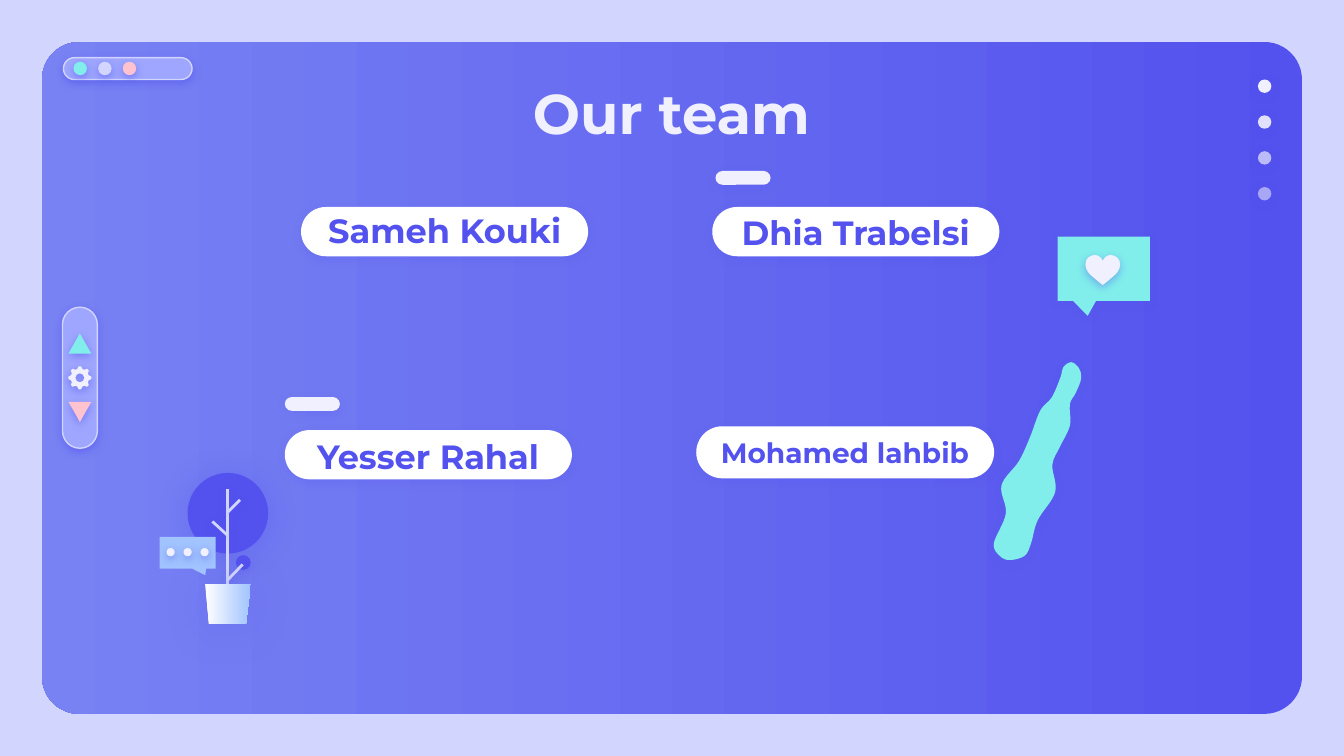
from dataclasses import dataclass
from math import cos, pi, radians, sin
from typing import NamedTuple, Optional

from lxml.etree import SubElement
from pptx import Presentation
from pptx.dml.color import RGBColor
from pptx.enum.shapes import MSO_CONNECTOR, MSO_SHAPE as Preset
from pptx.enum.text import MSO_ANCHOR as Anchor, MSO_AUTO_SIZE, PP_ALIGN
from pptx.oxml.ns import qn
from pptx.util import Pt

COLORS = {
    "backdrop": "D2D6FF", "indigo": "5352EE", "violet": "7882F3",
    "bar": "9EA6FF", "mint": "81EEEB", "pink": "FFC3D0",
    "pale": "F1F0FF", "white": "FFFFFF", "sky": "A1C3FF",
}
FONT = "Montserrat"


class Box(NamedTuple):
    left: float
    top: float
    width: float
    height: float


class Shadow(NamedTuple):
    alpha: int
    blur: float = 4.5


class Contour(NamedTuple):
    points: list
    curved: bool = False


@dataclass
class Member:
    name: str
    pill: Box
    label: Box
    size: int = 18


STRONG, SOFT, FAINT = Shadow(50), Shadow(18), Shadow(15)
PILL = (153.8, 26.4)
LABEL = (150.5, 14.4)
MEMBERS = [
    Member("Sameh Kouki", Box(161.3, 110.9, *PILL), Box(163, 115.9, *LABEL)),
    Member("Dhia Trabelsi", Box(381.6, 110.9, *PILL), Box(383.2, 117, *LABEL)),
    Member("Yesser Rahal", Box(152.6, 230.4, *PILL), Box(154.1, 236.9, *LABEL)),
    Member("Mohamed lahbib", Box(373, 228.4, 159.6, 27.9),
           Box(369.2, 231.8, 167, 21.6), 15),
]
TAGS = [(152.6, 212.7), (383.3, 91.6)]
BRANCHES = [
    (121.7, 262.1, 121.7, 313.2), (113.8, 279.4, 121.7, 286.6),
    (128.6, 267.8, 122.1, 274.3), (130, 302.4, 121.7, 311),
]
POT = [(109.9, 312.8), (134.4, 312.8), (131.8, 334.1), (112, 334.1)]
WAVE = [
    (573.8, 194), (569.6, 196.8), (568.2, 202), (563.6, 212.7), (557.3, 220),
    (551.9, 234), (545.9, 247), (536.6, 260), (538.9, 275), (532.5, 291),
    (535.7, 297.8), (541, 300), (549, 297.7), (552.4, 291), (556, 278.6),
    (565.3, 263.6), (563.8, 249), (567.8, 239.5), (573.2, 228), (573.2, 216.5),
    (576.3, 210.5), (579.3, 202.5), (577.8, 196.8),
]
WAVE_CENTER = (555.7, 247)
WAVE_TILT = 9.4
HEART_X = 590.8
HEART_HALF = [
    (0, 139.7), (1.4, 137.7), (4.3, 136.6), (7.9, 138.1), (9.3, 141.6),
    (7.9, 145.8), (2.9, 150.4), (0, 152.7),
]
GEAR_CENTER = (42.8, 202.4)


def rgb(color: str) -> RGBColor:
    return RGBColor.from_string(COLORS[color])


def cast_shadow(effects, shadow: Shadow) -> None:
    outer = SubElement(effects, qn("a:outerShdw"), blurRad=str(Pt(shadow.blur)),
                       dist=str(Pt(1.5)), dir="5400000", algn="bl", rotWithShape="0")
    tint = SubElement(outer, qn("a:srgbClr"), val=COLORS["indigo"])
    SubElement(tint, qn("a:alpha"), val=str(shadow.alpha * 1000))


def paint(shape, color: str, shadow: Optional[Shadow] = None,
          outline: Optional[str] = None, opacity: int = 100) -> None:
    shape.fill.solid()
    shape.fill.fore_color.rgb = rgb(color)
    if opacity < 100:
        tint = shape.fill._xPr.find(".//" + qn("a:srgbClr"))
        SubElement(tint, qn("a:alpha"), val=str(opacity * 1000))
    if outline:
        shape.line.color.rgb = rgb(outline)
        shape.line.width = Pt(0.75)
    else:
        shape.line.fill.background()
    shape.shadow.inherit = False
    if shadow:
        cast_shadow(shape._element.spPr.find(qn("a:effectLst")), shadow)


def paint_gradient(shape, start: str, end: str, angle: int) -> None:
    shape.fill.gradient()
    shape.fill.gradient_angle = angle
    for stop, color, position in zip(shape.fill.gradient_stops, (start, end), (0, 1)):
        stop.color.rgb = rgb(color)
        stop.position = position


def add_preset(shapes, preset, box: Box, color: str, shadow: Optional[Shadow] = None,
               adjustments: tuple = (), rotation: float = 0, **style):
    shape = shapes.add_shape(preset, *map(Pt, box))
    for index, value in enumerate(adjustments):
        shape.adjustments[index] = value
    shape.rotation = rotation
    paint(shape, color, shadow, **style)
    return shape


def add_pill(shapes, box: Box, color: str, shadow: Shadow, **style):
    return add_preset(shapes, Preset.ROUNDED_RECTANGLE, box, color, shadow, (0.5,), **style)


def add_dot(shapes, left: float, top: float, size: float, color: str,
            shadow: Shadow = STRONG, **style):
    return add_preset(shapes, Preset.OVAL, Box(left, top, size, size), color, shadow, **style)


def bend(segments: list) -> None:
    for first, second, end in zip(segments[::3], segments[1::3], segments[2::3]):
        first.tag = qn("a:cubicBezTo")
        for follower in (second, end):
            first.append(follower[0])
            follower.getparent().remove(follower)


def add_outline(shapes, contours: list, color: str, shadow: Shadow):
    traces = [[(Pt(x), Pt(y)) for x, y in contour.points] for contour in contours]
    builder = shapes.build_freeform(*traces[0][0])
    for index, trace in enumerate(traces):
        if index:
            builder.move_to(*trace[0])
        builder.add_line_segments(trace[1:], close=True)
    shape = builder.convert_to_shape()
    segments = list(shape._element.spPr.iter(qn("a:lnTo")))
    for contour in contours:
        count = len(contour.points) - 1
        if contour.curved:
            bend(segments[:count])
        segments = segments[count:]
    paint(shape, color, shadow)
    return shape


def smooth(points: list) -> list:
    curve = [points[1]]
    for a, b, c, d in zip(points, points[1:], points[2:], points[3:]):
        curve.append((b[0] + (c[0] - a[0]) / 6, b[1] + (c[1] - a[1]) / 6))
        curve.append((c[0] - (d[0] - b[0]) / 6, c[1] - (d[1] - b[1]) / 6))
        curve.append(c)
    return curve


def smooth_loop(points: list) -> Contour:
    return Contour(smooth([points[-1], *points, *points[:2]]), True)


def turn(point: tuple, center: tuple, degrees: float) -> tuple:
    angle = radians(degrees)
    x, y = point[0] - center[0], point[1] - center[1]
    return (center[0] + x * cos(angle) - y * sin(angle),
            center[1] + x * sin(angle) + y * cos(angle))


def ring(center: tuple, radii: list, count: int, offset: float = 0) -> list:
    return [(center[0] + radii[i % len(radii)] * cos(2 * pi * (i + offset) / count),
             center[1] + radii[i % len(radii)] * sin(2 * pi * (i + offset) / count))
            for i in range(count)]


def add_branch(shapes, ends: tuple) -> None:
    branch = shapes.add_connector(MSO_CONNECTOR.STRAIGHT, *map(Pt, ends))
    branch.line.color.rgb = rgb("backdrop")
    branch.line.width = Pt(1.5)
    cast_shadow(SubElement(branch._element.spPr, qn("a:effectLst")), Shadow(28))


def write(holder, text: str, size: int, color: str, anchor) -> None:
    frame = holder.text_frame
    frame.text = text
    frame.word_wrap = True
    frame.auto_size = MSO_AUTO_SIZE.NONE
    frame.vertical_anchor = anchor
    frame.margin_left = frame.margin_right = frame.margin_top = frame.margin_bottom = Pt(7.2)
    paragraph = frame.paragraphs[0]
    paragraph.alignment = PP_ALIGN.CENTER
    font = paragraph.runs[0].font
    font.name, font.size, font.bold = FONT, Pt(size), True
    font.color.rgb = rgb(color)


def draw_window(shapes) -> None:
    panel = add_preset(shapes, Preset.ROUNDED_RECTANGLE, Box(22.5, 22.5, 675, 360),
                       "indigo", adjustments=(0.056,))
    paint_gradient(panel, "indigo", "violet", 180)
    add_pill(shapes, Box(34, 30.9, 68.9, 11.7), "bar", STRONG, outline="backdrop")
    for i, color in enumerate(("mint", "backdrop", "pink")):
        add_dot(shapes, 39.4 + 13.2 * i, 33.1, 7.2, color)
    for i, opacity in enumerate((100, 90, 67, 54)):
        add_dot(shapes, 673.9, 42.6 + 19.2 * i, 7.2, "pale", opacity=opacity)


def draw_wave(shapes) -> None:
    upright = [turn(point, WAVE_CENTER, -WAVE_TILT) for point in WAVE]
    add_outline(shapes, [smooth_loop(upright)], "mint", SOFT).rotation = WAVE_TILT


def draw_toolbar(shapes) -> None:
    add_pill(shapes, Box(5, 193, 75.6, 18.7), "bar", STRONG, outline="backdrop", rotation=90)
    for top, color, rotation in ((178.6, "mint", 0), (215.3, "pink", 180)):
        add_preset(shapes, Preset.ISOSCELES_TRIANGLE, Box(36.7, top, 12.2, 10.8),
                   color, STRONG, rotation=rotation)
    teeth = Contour(ring(GEAR_CENTER, [6.2, 6.2, 4.9, 4.9], 32, -0.5))
    hole = smooth_loop(ring(GEAR_CENTER, [2.4], 8)[::-1])
    add_outline(shapes, [teeth, hole], "pale", Shadow(52))


def draw_plant(shapes) -> None:
    add_dot(shapes, 100.5, 253.4, 43.2, "indigo", Shadow(36, 16.9))
    add_dot(shapes, 126.4, 297.4, 7.9, "indigo", Shadow(26))
    for ends in BRANCHES:
        add_branch(shapes, ends)
    pot = add_outline(shapes, [Contour(POT)], "white", Shadow(24, 25.9))
    paint_gradient(pot, "white", "sky", 0)
    add_preset(shapes, Preset.ROUNDED_RECTANGULAR_CALLOUT, Box(85.5, 287.7, 30, 17),
               "sky", adjustments=(0.317, 0.706, 0))
    for i in range(3):
        add_dot(shapes, 89.2 + 9.1 * i, 293.6, 4.4, "pale")


def draw_like(shapes) -> None:
    add_preset(shapes, Preset.ROUNDED_RECTANGULAR_CALLOUT, Box(566.6, 126.7, 49.5, 34.5),
               "mint", Shadow(31), (-0.174, 0.731, 0))
    half = smooth([HEART_HALF[0], *HEART_HALF, HEART_HALF[-1]])
    heart = [(HEART_X + x, y) for x, y in half] + [(HEART_X - x, y) for x, y in half[-2::-1]]
    add_outline(shapes, [Contour(heart, True)], "pale", Shadow(38))


def main() -> None:
    deck = Presentation()
    deck.slide_width, deck.slide_height = Pt(720), Pt(405)
    slide = deck.slides.add_slide(deck.slide_layouts[5])
    slide.background.fill.solid()
    slide.background.fill.fore_color.rgb = rgb("backdrop")
    shapes = slide.shapes
    draw_window(shapes)
    draw_wave(shapes)
    title = shapes.title
    shapes._spTree.append(title._element)
    title.left, title.top, title.width, title.height = map(Pt, (56.2, 34.8, 607, 45.4))
    write(title, "Our team", 30, "pale", Anchor.TOP)
    for left, top in TAGS:
        add_pill(shapes, Box(left, top, 29.5, 7.4), "pale", FAINT)
    draw_toolbar(shapes)
    draw_plant(shapes)
    draw_like(shapes)
    for member in MEMBERS:
        add_pill(shapes, member.pill, "white", SOFT)
        label = shapes.add_textbox(*map(Pt, member.label))
        write(label, member.name, member.size, "indigo", Anchor.MIDDLE)
    deck.save("out.pptx")


if __name__ == "__main__":
    main()
